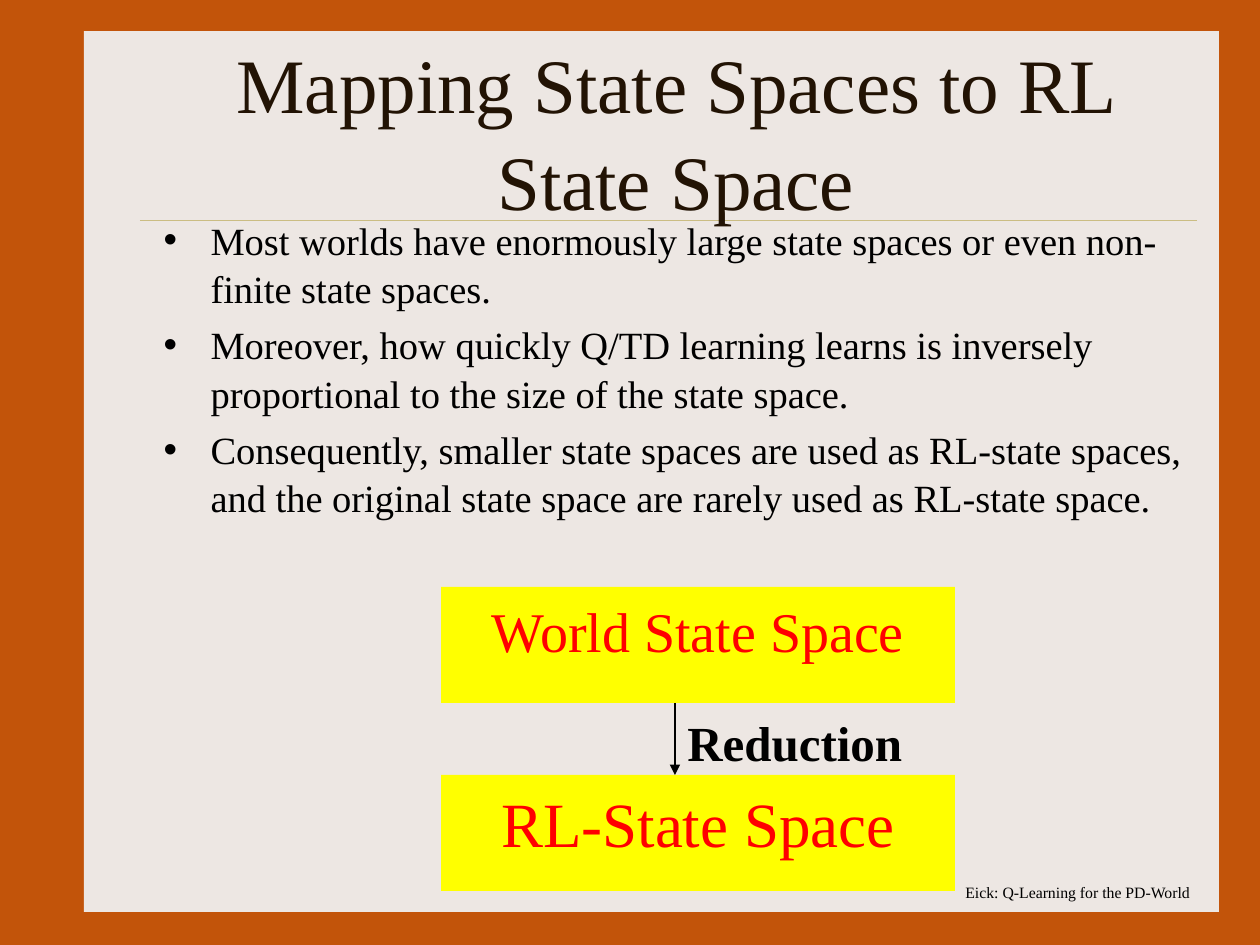
"""Build the slide on mapping world state spaces to RL state spaces."""
from lxml import etree
from pptx import Presentation
from pptx.dml.color import RGBColor
from pptx.enum.shapes import MSO_CONNECTOR, MSO_SHAPE
from pptx.enum.text import MSO_ANCHOR, MSO_AUTO_SIZE, PP_ALIGN
from pptx.oxml.ns import qn
from pptx.util import Pt

LEFT, CENTER = PP_ALIGN.LEFT, PP_ALIGN.CENTER
TOP, MIDDLE = MSO_ANCHOR.TOP, MSO_ANCHOR.MIDDLE
NO_FIT = MSO_AUTO_SIZE.NONE
RECT, STRAIGHT = MSO_SHAPE.RECTANGLE, MSO_CONNECTOR.STRAIGHT

RUST = RGBColor(0xC2, 0x54, 0x0A)
CREAM = RGBColor(0xED, 0xE7, 0xE3)
SAND = RGBColor(0xCB, 0xBD, 0x83)
BROWN = RGBColor(0x22, 0x13, 0x04)
BLACK = RGBColor(0, 0, 0)
YELLOW = RGBColor(0xFF, 0xFF, 0)
RED = RGBColor(0xFF, 0, 0)

FONT = "Times New Roman"
LINE_SPACING = 1.05
PX = 914400 // 126

TITLE = "Mapping State Spaces to RL State Space"
BULLETS = [
    "Most worlds have enormously large state spaces or even non-finite state spaces.",
    "Moreover, how quickly Q/TD learning learns is inversely proportional to the size of the state space.",
    "Consequently, smaller state spaces are used as RL-state spaces, "
    "and the original state space are rarely used as RL-state space.",
]
FOOTER = "Eick: Q-Learning for the PD-World"
SPACES = [("World State Space", 32), ("RL-State Space", 36)]
REDUCTION = "Reduction"

TEXT_X, TEXT_W = 151, 1050
BOX_X, BOX_Y, BOX_W, BOX_H, BOX_GAP = 441, 587, 514, 116, 72
ARROW_X, ARROW_Y = 675, BOX_Y + BOX_H
INDENT = 47


def px(*values):
    return [round(v * PX) for v in values]


def write(shape, lines, size, color, align=LEFT, anchor=TOP, wrap=True, bold=False):
    tf = shape.text_frame
    tf.auto_size = NO_FIT
    tf.word_wrap = wrap
    tf.vertical_anchor = anchor
    for i, line in enumerate(lines):
        p = tf.add_paragraph() if i else tf.paragraphs[0]
        p.alignment = align
        p.line_spacing = LINE_SPACING
        r = p.add_run()
        r.text = line
        r.font.name = FONT
        r.font.size = Pt(size)
        r.font.bold = bold
        r.font.color.rgb = color
    return tf


def add_rect(s, box, fill):
    shape = s.shapes.add_shape(RECT, *px(*box))
    shape.shadow.inherit = False
    shape.fill.solid()
    shape.fill.fore_color.rgb = fill
    shape.line.fill.background()
    return shape


def add_line(s, ends, color, width):
    line = s.shapes.add_connector(STRAIGHT, *px(*ends))
    line.line.color.rgb = color
    line.line.width = Pt(width)
    etree.SubElement(line.element.spPr, qn("a:effectLst"))
    return line


prs = Presentation()
prs.slide_width, prs.slide_height = px(1260, 945)
s = prs.slides.add_slide(prs.slide_layouts[1])
s.background.fill.solid()
s.background.fill.fore_color.rgb = RUST
title, body = s.placeholders

panel = add_rect(s, (84, 31, 1135, 881), CREAM)
rule = add_line(s, (140, 220, 1197, 220), SAND, 0.25)
footer = s.shapes.add_textbox(*px(953, 876, 262, 31))
write(footer, [FOOTER], 9, BLACK)
for backdrop in (panel, rule, footer):
    title.element.addprevious(backdrop.element)

title.left, title.top, title.width, title.height = px(TEXT_X, 50, TEXT_W, 158)
write(title, [TITLE], 44, BROWN, CENTER, MIDDLE)

body.left, body.top, body.width, body.height = px(TEXT_X, 208, TEXT_W, 567)
for p in write(body, BULLETS, 22, BLACK).paragraphs:
    pPr = p._p.get_or_add_pPr()
    pPr.set("marL", str(INDENT * PX))
    pPr.set("indent", str(-INDENT * PX))
    etree.SubElement(pPr, qn("a:buChar"), char="•")

for i, (name, size) in enumerate(SPACES):
    box = add_rect(s, (BOX_X, BOX_Y + i * (BOX_H + BOX_GAP), BOX_W, BOX_H), YELLOW)
    write(box, [name], size, RED, CENTER, wrap=False)

arrow = add_line(s, (ARROW_X, ARROW_Y, ARROW_X, ARROW_Y + BOX_GAP), BLACK, 0.75)
etree.SubElement(arrow.line._get_or_add_ln(), qn("a:tailEnd"), type="triangle")
label = s.shapes.add_textbox(*px(ARROW_X, ARROW_Y, 256, BOX_GAP))
write(label, [REDUCTION], 28, BLACK, wrap=False, bold=True)

prs.save("out.pptx")
